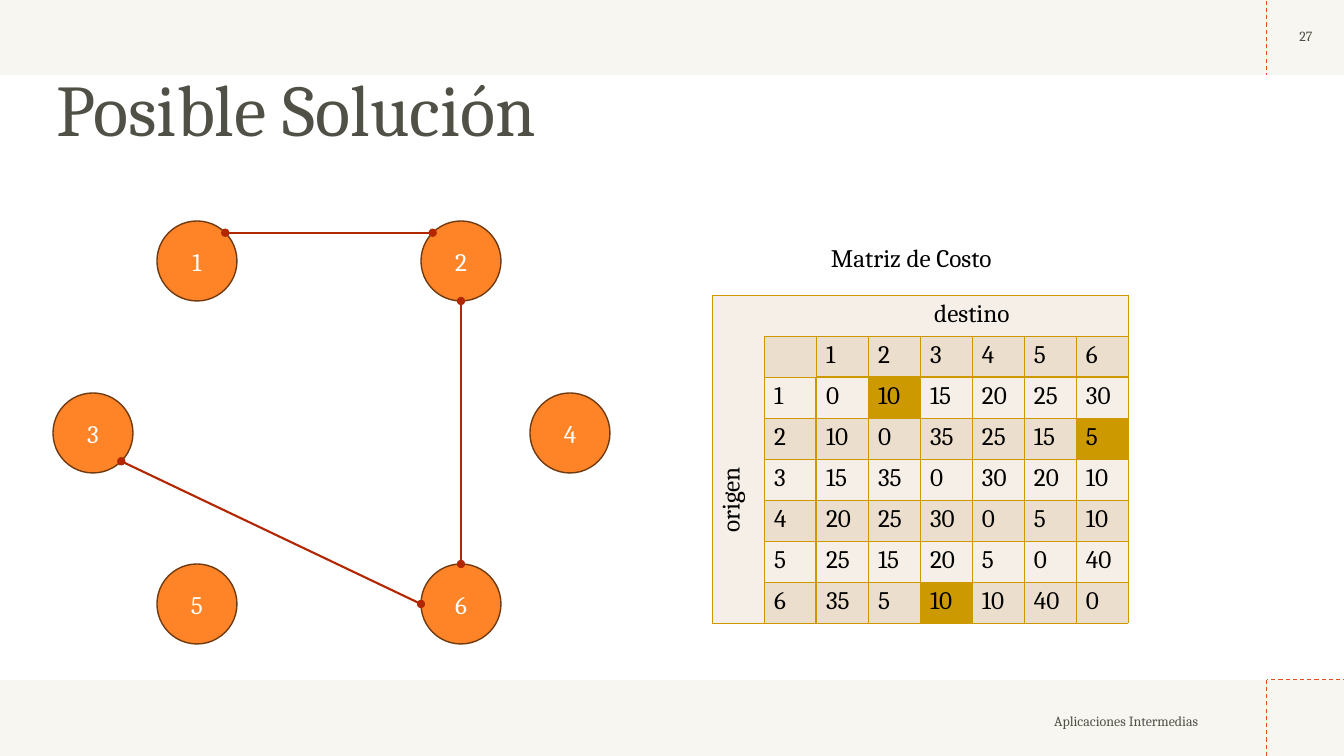
import math
from lxml import etree
from pptx import Presentation
from pptx import util as u
from pptx.dml.color import RGBColor
from pptx.enum import dml, shapes, text
from pptx.oxml.ns import qn

PX = 914400 / 100.8
FONT = "Cambria"
WHITE = RGBColor(0xFF, 0xFF, 0xFF)
BLACK = RGBColor(0, 0, 0)
SAND = RGBColor(0xEE, 0xEC, 0xE1)
GRAY = RGBColor(0x50, 0x50, 0x46)
RED = RGBColor(0xE8, 0x4C, 0x22)
ORANGE = RGBColor(0xFF, 0x84, 0x27)
BROWN = RGBColor(0x70, 0x3A, 0x11)
EDGE = RGBColor(0xB2, 0x26, 0x00)
GOLD = RGBColor(0xCC, 0x99, 0x00)
BANDS = (RGBColor(0xF6, 0xEF, 0xE7), RGBColor(0xEC, 0xDE, 0xCC))

NODE = 80
NODES = {1: (157, 221), 2: (421, 221), 3: (53, 393),
         4: (530, 393), 5: (157, 564), 6: (421, 564)}
EDGES = [(1, 7, 2, 1), (6, 0, 2, 4), (3, 5, 6, 2)]
COSTS = [[0, 10, 15, 20, 25, 30],
         [10, 0, 35, 25, 15, 5],
         [15, 35, 0, 30, 20, 10],
         [20, 25, 30, 0, 5, 10],
         [25, 15, 20, 5, 0, 40],
         [35, 5, 10, 10, 40, 0]]
CHOSEN = {(0, 1), (1, 5), (5, 2)}


def px(*values):
    return [round(v * PX) for v in values]


def write(tf, value, size=18, color=BLACK, align=text.PP_ALIGN.LEFT, spacing=None):
    p = tf.paragraphs[0]
    p.alignment = align
    if spacing:
        p.line_spacing = spacing
    r = p.add_run()
    r.text = str(value)
    r.font.name = FONT
    r.font.size = u.Pt(size)
    r.font.color.rgb = color


def border_width(r, c, side):
    if r == 0 and (side == "L" and c > 0 or side == "R" and c not in (2, 7)):
        return 0
    if c == 0 and (side == "T" and r > 0 or side == "B" and r not in (2, 7)):
        return 0
    heavy_row = c > 1 and (r, side) in ((1, "B"), (2, "T"))
    heavy_column = r > 1 and (c, side) in ((1, "R"), (2, "L"))
    return 1.5 if heavy_row or heavy_column else 0.5


class Deck:
    def __init__(self):
        self.prs = Presentation()
        self.prs.slide_width, self.prs.slide_height = px(1344, 756)
        self.s = self.prs.slides.add_slide(self.prs.slide_layouts[5])

    def shape(self, kind, x, y, w, h, fill, line=None, alpha=None):
        sp = self.s.shapes.add_shape(kind, *px(x, y, w, h))
        sp.shadow.inherit = False
        sp.fill.solid()
        sp.fill.fore_color.rgb = fill
        if alpha:
            clr = sp.element.spPr.find(".//" + qn("a:srgbClr"))
            etree.SubElement(clr, qn("a:alpha"), val=str(alpha * 1000))
        if line is None:
            sp.line.fill.background()
        else:
            sp.line.color.rgb = line
            sp.line.width = u.Pt(1)
        return sp

    def node(self, x, y, label):
        sp = self.shape(shapes.MSO_SHAPE.OVAL, x, y, NODE, NODE, ORANGE, BROWN)
        sp.text_frame.vertical_anchor = text.MSO_ANCHOR.MIDDLE
        write(sp.text_frame, label, color=WHITE, align=text.PP_ALIGN.CENTER)
        return sp

    def line(self, x1, y1, x2, y2, color, width, dash=None):
        cx = self.s.shapes.add_connector(shapes.MSO_CONNECTOR.STRAIGHT, *px(x1, y1, x2, y2))
        cx.line.color.rgb = color
        cx.line.width = u.Pt(width)
        if dash:
            cx.line.dash_style = dash
        etree.SubElement(cx.element.spPr, qn("a:effectLst"))
        return cx

    def edge(self, nodes, start, start_site, end, end_site):
        points = []
        for key, site in ((start, start_site), (end, end_site)):
            x, y = NODES[key]
            angle = math.radians(90 + 45 * site)
            points += [x + NODE / 2 * (1 + math.cos(angle)),
                       y + NODE / 2 * (1 - math.sin(angle))]
        cx = self.line(*points, EDGE, 1.5)
        ln = cx.element.spPr.find(qn("a:ln"))
        for tag in ("a:headEnd", "a:tailEnd"):
            etree.SubElement(ln, qn(tag), type="oval")
        joints = cx.element.find(".//" + qn("p:cNvCxnSpPr"))
        for tag, key, site in (("a:stCxn", start, start_site), ("a:endCxn", end, end_site)):
            etree.SubElement(joints, qn(tag), id=str(nodes[key].shape_id), idx=str(site))

    def label(self, x, y, w, h, value, wrap=True, anchor=text.MSO_ANCHOR.MIDDLE, **fmt):
        tf = self.s.shapes.add_textbox(*px(x, y, w, h)).text_frame
        tf.word_wrap = wrap
        tf.vertical_anchor = anchor
        write(tf, value, **fmt)

    def title(self, x, y, w, h, value):
        sp = self.s.shapes.title
        sp.left, sp.top, sp.width, sp.height = px(x, y, w, h)
        sp.text_frame.vertical_anchor = text.MSO_ANCHOR.MIDDLE
        write(sp.text_frame, value, size=52, color=GRAY, spacing=0.9)
        sp.element.getparent().append(sp.element)

    def cell(self, cell, r, c, fill):
        tcPr = cell._tc.get_or_add_tcPr()
        for side in "LRTB":
            width = border_width(r, c, side)
            ln = etree.SubElement(tcPr, qn("a:ln" + side), w=str(u.Pt(width)))
            if width:
                solid = etree.SubElement(ln, qn("a:solidFill"))
                etree.SubElement(solid, qn("a:srgbClr"), val=str(GOLD))
            else:
                etree.SubElement(ln, qn("a:noFill"))
        cell.fill.solid()
        cell.fill.fore_color.rgb = fill

    def cost_table(self, x, y, col, row):
        n = len(COSTS) + 2
        tbl = self.s.shapes.add_table(n, n, *px(x, y, col * n, row * n)).table
        tbl.first_row = tbl.horz_banding = False
        for i in range(n):
            tbl.columns[i].width, tbl.rows[i].height = px(col, row)
        for r in range(n):
            for c in range(n):
                fill = GOLD if (r - 2, c - 2) in CHOSEN else BANDS[r % 2 if c else 0]
                self.cell(tbl.cell(r, c), r, c, fill)
        for i, costs in enumerate(COSTS):
            write(tbl.cell(1, i + 2).text_frame, i + 1)
            for c, value in enumerate([i + 1] + costs, 1):
                write(tbl.cell(i + 2, c).text_frame, value)
        for r, c, end_r, end_c, value in ((0, 2, 0, n - 1, "destino"), (2, 0, n - 1, 0, "origen")):
            head = tbl.cell(r, c)
            head.merge(tbl.cell(end_r, end_c))
            write(head.text_frame, value, align=text.PP_ALIGN.CENTER)
        tbl.cell(2, 0)._tc.get_or_add_tcPr().set("vert", "vert270")


def main():
    d = Deck()
    rect = shapes.MSO_SHAPE.RECTANGLE
    dash = dml.MSO_LINE.DASH
    d.shape(rect, 0, 0, 1344, 756, SAND, alpha=45)
    d.shape(rect, 159, 75, 1185, 605, WHITE)
    d.line(1267, 756, 1267, 0, RED, 0.75, dash)
    d.line(0, 680, 1344, 680, RED, 0.75, dash)
    d.shape(rect, 0, 75, 1267, 605, WHITE)
    d.cost_table(712, 295, 52, 41)
    d.label(821, 237, 198, 40, "Matriz de Costo", wrap=False, anchor=text.MSO_ANCHOR.TOP)
    nodes = {key: d.node(x, y, key) for key, (x, y) in NODES.items()}
    d.title(46, 40, 1159, 146, "Posible Solución")
    d.label(415, 686, 793, 70, "Aplicaciones Intermedias", size=10, color=GRAY,
            align=text.PP_ALIGN.RIGHT)
    d.label(1268, -2, 76, 76, "27", size=10, color=GRAY, align=text.PP_ALIGN.CENTER)
    for edge in EDGES:
        d.edge(nodes, *edge)
    d.prs.save("out.pptx")


if __name__ == "__main__":
    main()
